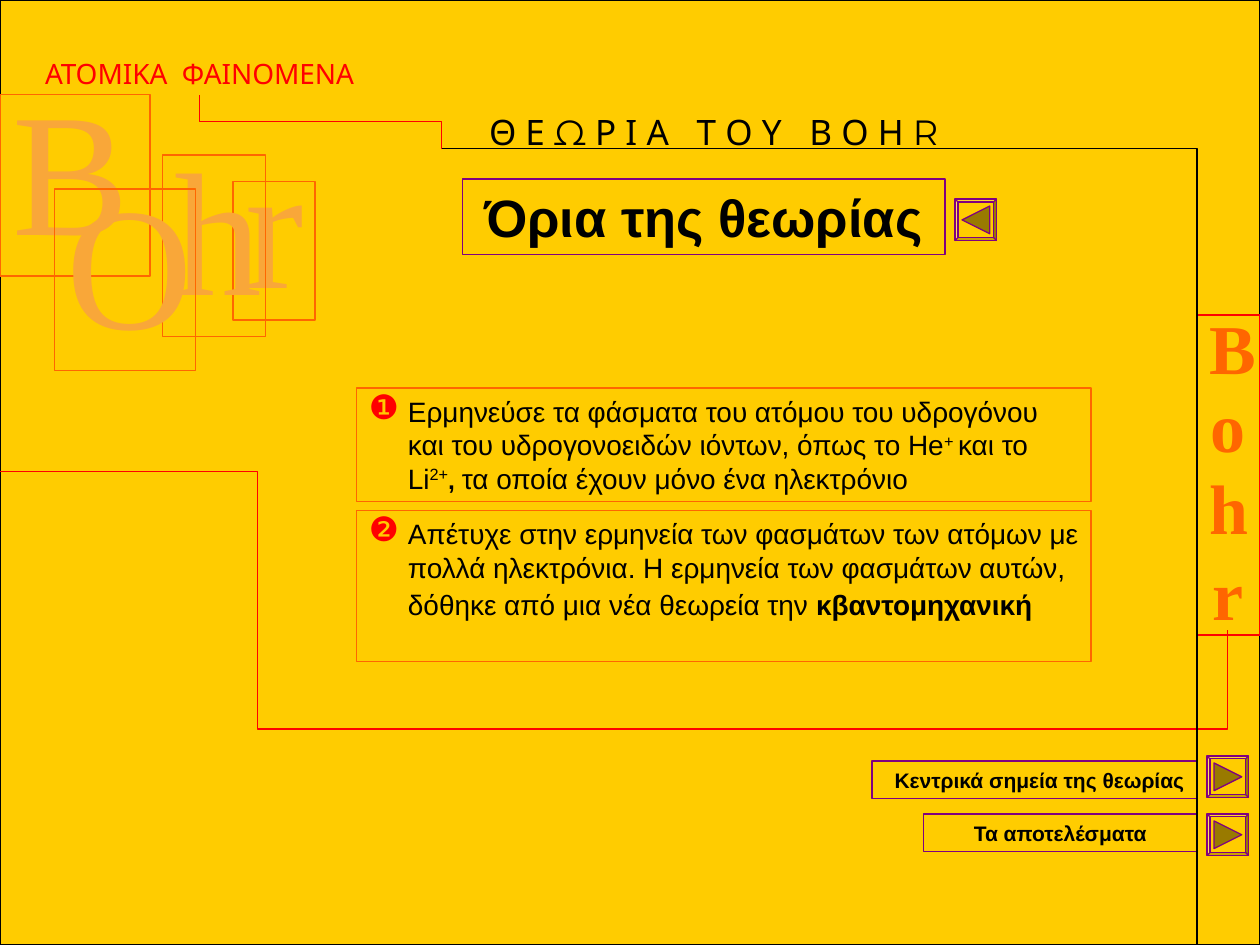
from dataclasses import dataclass

from lxml import etree
from pptx import Presentation
from pptx.dml.color import RGBColor
from pptx.enum import shapes, text
from pptx.oxml import ns
from pptx.util import Inches, Pt


@dataclass(frozen=True)
class Theme:
    """Colours, fonts and type sizes of the slide."""
    ground: str = "FFCC00"
    ink: str = "000000"
    red: str = "FF0000"
    orange: str = "FF6600"
    pale: str = "F9A739"
    purple: str = "800080"
    arrow: str = "997A00"
    sans: str = "Arial"
    serif: str = "Times New Roman"
    display: str = "Montserrat"
    link: int = 12
    comma: int = 14
    body: int = 16
    tail: int = 18
    heading: int = 20
    title: int = 30
    sidebar: int = 40
    monogram: int = 100
    rule: float = 0.75


THEME = Theme()
CENTER, LEFT, RIGHT = text.PP_ALIGN.CENTER, text.PP_ALIGN.LEFT, text.PP_ALIGN.RIGHT


def inches(values):
    """Turn a sequence of numbers into lengths."""
    return [Inches(value) for value in values]


def paint(shape, line, fill=None):
    """Give a shape its fill and outline without a shadow."""
    shape.shadow.inherit = False
    if fill:
        shape.fill.solid()
        shape.fill.fore_color.rgb = RGBColor.from_string(fill)
    else:
        shape.fill.background()
    shape.line.color.rgb = RGBColor.from_string(line)
    shape.line.width = Pt(THEME.rule)


def add_frame(page, box, line, fill=None, kind=shapes.MSO_SHAPE.RECTANGLE):
    """Place an outlined preset shape whose text starts at the top."""
    frame = page.shapes.add_shape(kind, *inches(box))
    paint(frame, line, fill)
    frame.text_frame.word_wrap = True
    frame.text_frame.vertical_anchor = text.MSO_ANCHOR.TOP
    return frame


def add_run(para, words, size, color=THEME.ink, font=THEME.sans, bold=False, raised=False):
    """Append one styled run to a paragraph."""
    span = para.add_run()
    span.text = words
    span.font.size = Pt(size)
    span.font.name = font
    span.font.bold = bold
    span.font.color.rgb = RGBColor.from_string(color)
    if raised:
        span.font._element.set("baseline", "30000")


def format_para(para, align, before, spacing=None):
    """Set the alignment and spacing of a paragraph."""
    para.alignment = align
    para.space_before = Pt(before)
    if spacing:
        para.line_spacing = spacing


def add_label(page, box, words, size, align=CENTER, before=7.5):
    """Place a bold label in a purple frame."""
    frame = add_frame(page, box, THEME.purple, THEME.ground)
    para = frame.text_frame.paragraphs[0]
    format_para(para, align, before)
    add_run(para, words, size, bold=True)


def add_heading(page, box, words, size, color, anchor):
    """Place a centred line in the display font."""
    heading = page.shapes.add_textbox(*inches(box))
    heading.text_frame.word_wrap = True
    heading.text_frame.vertical_anchor = anchor
    para = heading.text_frame.paragraphs[0]
    para.alignment = CENTER
    add_run(para, words, size, color, THEME.display)


def add_sidebar(page, box):
    """Place the vertical name on the right edge."""
    frame = add_frame(page, box, THEME.red).text_frame
    for index, (letter, spacing) in enumerate(zip("Bohr", (0.8, 0.3, 0.5, 0.5))):
        para = frame.add_paragraph() if index else frame.paragraphs[0]
        format_para(para, CENTER, 25, spacing)
        add_run(para, letter, THEME.sidebar, THEME.orange, THEME.serif, bold=True)


def add_monogram(page, box):
    """Place the four overlapping framed letters."""
    left, top = box[:2]
    letters = (("B", 0, 0, 1.19, 1.44, 0.8), ("r", 1.85, 0.69, 0.65, 1.1, 0.6),
               ("h", 1.29, 0.48, 0.82, 1.44, 0.8), ("O", 0.43, 0.75, 1.12, 1.44, 0.8))
    for letter, across, down, width, height, spacing in letters:
        frame = add_frame(page, (left + across, top + down, width, height), THEME.orange)
        para = frame.text_frame.paragraphs[0]
        format_para(para, LEFT, 62.5, spacing)
        add_run(para, letter, THEME.monogram, THEME.pale, THEME.serif)


def add_elbow(page, box, flip, bends):
    """Place a quarter-turned elbow connector with the given bend ratios."""
    left, top, width, height = box
    elbow = page.shapes.add_connector(
        shapes.MSO_CONNECTOR.ELBOW, *inches((left, top, left + width, top + height)))
    elbow.line.color.rgb = RGBColor.from_string(THEME.red)
    elbow.line.width = Pt(THEME.rule)
    properties = elbow._element.spPr
    etree.SubElement(properties, ns.qn("a:effectLst"))
    transform = properties.find(ns.qn("a:xfrm"))
    transform.set("rot", str(270 * 60000))
    transform.set(flip, "1")
    geometry = properties.find(ns.qn("a:prstGeom"))
    geometry.set("prst", f"bentConnector{len(bends) + 2}")
    guides = geometry.find(ns.qn("a:avLst"))
    if guides is None:
        guides = etree.SubElement(geometry, ns.qn("a:avLst"))
    for number, bend in enumerate(bends, 1):
        etree.SubElement(guides, ns.qn("a:gd"), name=f"adj{number}",
                         fmla=f"val {round(bend * 100000)}")


def add_corner(page, box):
    """Draw the open black corner along the top and right of a box."""
    left, top, width, height = box
    points = [inches(point) for point in
              ((left + width, top + height), (left + width, top), (left, top))]
    builder = page.shapes.build_freeform(*points[0])
    builder.add_line_segments(points[1:], close=False)
    paint(builder.convert_to_shape(), THEME.ink)


def add_button(page, box, turn):
    """Place a bevelled button with a triangle turned to its direction."""
    left, top, width, height = box
    bevel = add_frame(page, box, THEME.purple, THEME.ground, shapes.MSO_SHAPE.BEVEL)
    bevel.adjustments[0] = 0.07
    side = 0.22
    inner = (left + (width - side) / 2, top + (height - side) / 2, side, side)
    arrow = add_frame(page, inner, THEME.purple, THEME.arrow,
                      shapes.MSO_SHAPE.ISOSCELES_TRIANGLE)
    arrow.rotation = turn


def add_point(page, box, mark, before, spans):
    """Place a framed point with a red numbered bullet."""
    para = add_frame(page, box, THEME.orange).text_frame.paragraphs[0]
    format_para(para, LEFT, before)
    properties = para._p.get_or_add_pPr()
    properties.set("marL", str(Inches(0.31)))
    properties.set("indent", str(Inches(-0.31)))
    color = etree.SubElement(properties, ns.qn("a:buClr"))
    etree.SubElement(color, ns.qn("a:srgbClr"), val=THEME.red)
    etree.SubElement(properties, ns.qn("a:buSzPct"), val="120000")
    etree.SubElement(properties, ns.qn("a:buChar"), char=mark)
    for words, size, style in spans:
        add_run(para, words, size, **style)


def build_page(page):
    """Place every region of the slide from back to front."""
    plain, bold, raised = {}, {"bold": True}, {"raised": True}
    add_frame(page, (0, 0, 10, 7.5), THEME.ink, THEME.ground)
    add_heading(page, (-0.08, 0.42, 3.33, 0.33), "ΑΤΟΜΙΚΑ  ΦΑΙΝΟΜΕΝΑ",
                THEME.body, THEME.red, text.MSO_ANCHOR.MIDDLE)
    add_sidebar(page, (9.5, 2.5, 0.5, 2.54))
    add_monogram(page, (0, 0.75, 2.5, 2.19))
    add_elbow(page, (4.24, -0.5, 1.26, 9.75), "flipV", (-0.62, 0.79))
    add_label(page, (6.92, 6.04, 2.58, 0.3), "Κεντρικά σημεία της θεωρίας", THEME.link, RIGHT)
    for top in (6, 6.46):
        add_button(page, (9.58, top, 0.33, 0.33), 90)
    add_label(page, (7.33, 6.46, 2.17, 0.3), "Τα αποτελέσματα", THEME.link)
    add_heading(page, (3.33, 0.83, 4.67, 0.44), "Θ Ε Ω Ρ Ι Α   Τ Ο Υ   Β Ο Η R",
                THEME.heading, THEME.ink, text.MSO_ANCHOR.TOP)
    add_button(page, (7.58, 1.58, 0.33, 0.33), 270)
    add_point(page, (2.83, 3.08, 5.83, 0.9), "❶", 10, (
        ("Ερμηνεύσε τα φάσματα του ατόμου του υδρογόνου και του υδρογονοειδών ιόντων, "
         "όπως το He", THEME.body, plain),
        ("+ ", THEME.body, raised), ("και το Li", THEME.body, plain),
        ("2+", THEME.body, raised), (", ", THEME.comma, bold),
        ("τα οποία έχουν μόνο ένα ηλεκτρόνιο", THEME.body, plain)))
    add_corner(page, (3.5, 1.18, 6, 6.32))
    add_point(page, (2.83, 4.05, 5.83, 1.2), "❷", 11.2, (
        ("Απέτυχε στην ερμηνεία των φασμάτων των ατόμων με πολλά ηλεκτρόνια. Η ερμηνεία "
         "των φασμάτων αυτών, δόθηκε από μια νέα θεωρεία την ", THEME.body, plain),
        ("κβαντομηχανική", THEME.body, bold), (" ", THEME.tail, bold)))
    add_label(page, (3.67, 1.42, 3.83, 0.6), "Όρια της θεωρίας", THEME.title, before=18.7)
    add_elbow(page, (2.33, 0.01, 0.43, 1.92), "flipH", (0.49,))


def main():
    """Build and save the deck."""
    deck = Presentation()
    deck.slide_width, deck.slide_height = Inches(10), Inches(7.5)
    build_page(deck.slides.add_slide(deck.slide_layouts[6]))
    deck.save("out.pptx")


if __name__ == "__main__":
    main()
